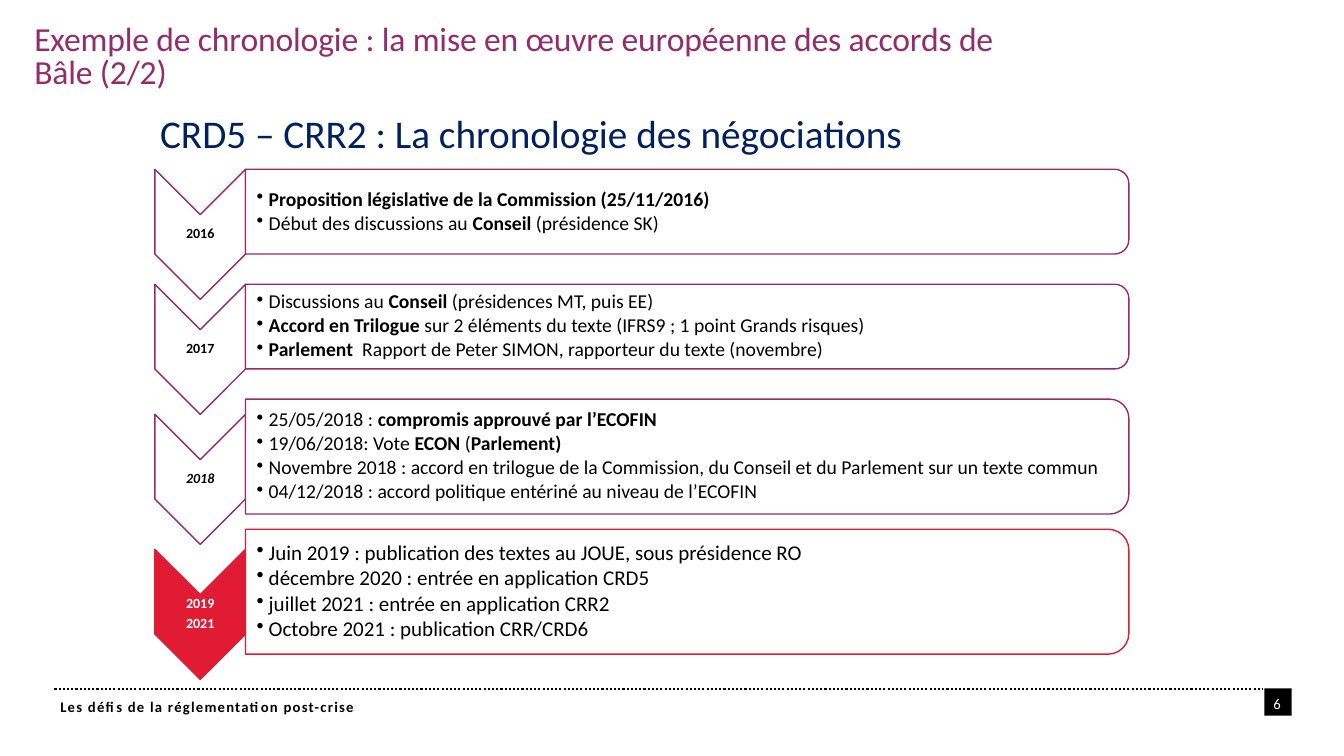
import pptx
import pptx.util
import pptx.dml.color
import pptx.enum.dml
import pptx.enum.shapes
import pptx.enum.text
import pptx.oxml.ns
from lxml import etree

WIDE = pptx.util.Inches(13.33)
HIGH = pptx.util.Inches(7.5)
KIND = pptx.enum.shapes.MSO_SHAPE
SIDE = pptx.enum.text.PP_ALIGN
HOLD = pptx.enum.text.MSO_ANCHOR
INK = {"plum": "942B6A", "red": "E01B33", "navy": "002060",
       "black": "000000", "white": "FFFFFF"}

YEARS = [
    {"years": ["2016"], "top": 22.4, "high": 11.2, "lines": [
        "*Proposition législative de la Commission (25/11/2016)*",
        "Début des discussions au *Conseil* (présidence SK)"]},
    {"years": ["2017"], "top": 37.6, "high": 11.2, "lines": [
        "Discussions au *Conseil* (présidences MT, puis EE)",
        "*Accord en Trilogue* sur 2 éléments du texte (IFRS9 ; 1 point Grands risques)",
        "*Parlement*  Rapport de Peter SIMON, rapporteur du texte (novembre)"]},
    {"years": ["2018"], "top": 52.8, "high": 15.2, "slant": True, "lines": [
        "25/05/2018 : *compromis approuvé par l’ECOFIN*",
        "19/06/2018: Vote *ECON* (*Parlement)*",
        "Novembre 2018 : accord en trilogue de la Commission, du Conseil "
        "et du Parlement sur un texte commun",
        "04/12/2018 : accord politique entériné au niveau de l’ECOFIN"]},
    {"years": ["2019", "2021"], "top": 70, "high": 16.53, "size": 15,
     "edge": "red", "fill": "red", "ink": "white", "lines": [
        "Juin 2019 : publication des textes au JOUE, sous présidence RO",
        "décembre 2020 : entrée en application CRD5",
        "juillet 2021 : entrée en application CRR2",
        "Octobre 2021 : publication CRR/CRD6"]},
]


def paint(name):
    """Return the colour of that name."""
    return pptx.dml.color.RGBColor.from_string(INK[name])


def area(left, top, wide, high):
    """Turn percentages of the slide into lengths."""
    return [int(WIDE * left / 100), int(HIGH * top / 100),
            int(WIDE * wide / 100), int(HIGH * high / 100)]


def write(frame, lines, size=14, ink="black", bold=False, slant=False,
          side=SIDE.LEFT, hold=HOLD.TOP, pads=(0.1, 0.05, 0.1, 0.05),
          pitch=1.0, after=0, track=0, dots=False):
    """Fill a text frame, with words between asterisks in bold."""
    frame.word_wrap = True
    frame.auto_size = pptx.enum.text.MSO_AUTO_SIZE.NONE
    frame.vertical_anchor = hold
    (frame.margin_left, frame.margin_top, frame.margin_right,
     frame.margin_bottom) = [pptx.util.Inches(pad) for pad in pads]
    for row, line in enumerate(lines):
        para = frame.add_paragraph() if row else frame.paragraphs[0]
        para.alignment = side
        para.line_spacing = pitch
        para.space_after = pptx.util.Pt(after)
        if dots:
            props = para._p.get_or_add_pPr()
            props.set("marL", str(pptx.util.Inches(0.12)))
            props.set("indent", str(-pptx.util.Inches(0.12)))
            dot = etree.SubElement(props, pptx.oxml.ns.qn("a:buChar"))
            dot.set("char", "•")
        for turn, part in enumerate(line.split("*")):
            if not part:
                continue
            run = para.add_run()
            run.text = part
            run.font.name = "Calibri"
            run.font.size = pptx.util.Pt(size)
            run.font.bold = bold or turn % 2 == 1
            run.font.italic = slant
            run.font.color.rgb = paint(ink)
            if track:
                run._r.get_or_add_rPr().set("spc", str(round(track * 100)))


def label(slide, place, lines, **form):
    """Add a text box at a place given in percentages."""
    write(slide.shapes.add_textbox(*area(*place)).text_frame, lines, **form)


def shape(slide, kind, place, fill, edge=None, turned=False):
    """Add a preset shape, if asked turned clockwise to fill its place."""
    left, top, wide, high = area(*place)
    if turned:
        left, top = left + (wide - high) // 2, top + (high - wide) // 2
        wide, high = high, wide
    item = slide.shapes.add_shape(kind, left, top, wide, high)
    item.rotation = 90 if turned else 0
    item.shadow.inherit = False
    item.fill.solid()
    item.fill.fore_color.rgb = paint(fill)
    if edge:
        item.line.color.rgb = paint(edge)
        item.line.width = pptx.util.Pt(1)
    else:
        item.line.fill.background()


def step(slide, years, top, high, lines, size=14, edge="plum", fill="white",
         ink="black", slant=False):
    """Draw one stage: a year arrow and its card of events."""
    mid = top + high / 2 + 3
    shape(slide, KIND.CHEVRON, (11.52, mid - 8.6, 6.75, 17.2), fill, edge, True)
    label(slide, (11.52, mid - 2.6, 6.75, 5.2), years, size=10, ink=ink,
          bold=True, slant=slant, side=SIDE.CENTER, hold=HOLD.MIDDLE,
          pads=[0.01] * 4, pitch=0.9, after=3.5)
    shape(slide, KIND.ROUND_2_SAME_RECTANGLE, (18.27, top, 65.72, high),
          "white", edge, True)
    label(slide, (18.27, top + 0.5, 65.4, high - 1), lines, size=size,
          hold=HOLD.MIDDLE, pads=(0.11, 0.01, 0.01, 0.01), pitch=0.9,
          after=2, dots=True)


def rule(slide, left, right, top):
    """Draw a dotted line across the slide."""
    start, level, span, _ = area(left, top, right - left, 0)
    line = slide.shapes.add_connector(
        pptx.enum.shapes.MSO_CONNECTOR.STRAIGHT, start, level, start + span, level)
    line.line.color.rgb = paint("black")
    line.line.width = pptx.util.Pt(1.5)
    line.line.dash_style = pptx.enum.dml.MSO_LINE.ROUND_DOT
    etree.SubElement(line._element.spPr, pptx.oxml.ns.qn("a:effectLst"))


def head(slide, text):
    """Place and fill the title."""
    title = slide.shapes.title
    title.left, title.top, title.width, title.height = area(1.8, 2.67, 74.42, 13.47)
    write(title.text_frame, [text], size=24, ink="plum", pitch=0.81, track=-0.1)


def foot(slide, text, page):
    """Draw the footer with its page number."""
    rule(slide, 4.05, 94, 91.2)
    shape(slide, KIND.RECTANGLE, (94.07, 91.07, 2.03, 3.6), "black")
    label(slide, (93.1, 91.2, 3.83, 5.33), [page], size=10.5, ink="white",
          side=SIDE.CENTER)
    label(slide, (3.75, 91.6, 68.42, 3.6), [text], size=10.5, bold=True, track=0.9)


def main():
    """Build the slide and save it."""
    deck = pptx.Presentation()
    deck.slide_width, deck.slide_height = WIDE, HIGH
    slide = deck.slides.add_slide(deck.slide_layouts[5])
    head(slide, "Exemple de chronologie : la mise en œuvre européenne "
                "des accords de Bâle (2/2)")
    for stage in YEARS:
        step(slide, **stage)
    label(slide, (11.18, 13.87, 63.77, 7.6),
          ["CRD5 – CRR2 : La chronologie des négociations"], size=28, ink="navy")
    foot(slide, "Les défis de la réglementation post-crise", "6")
    deck.save("out.pptx")


if __name__ == "__main__":
    main()
